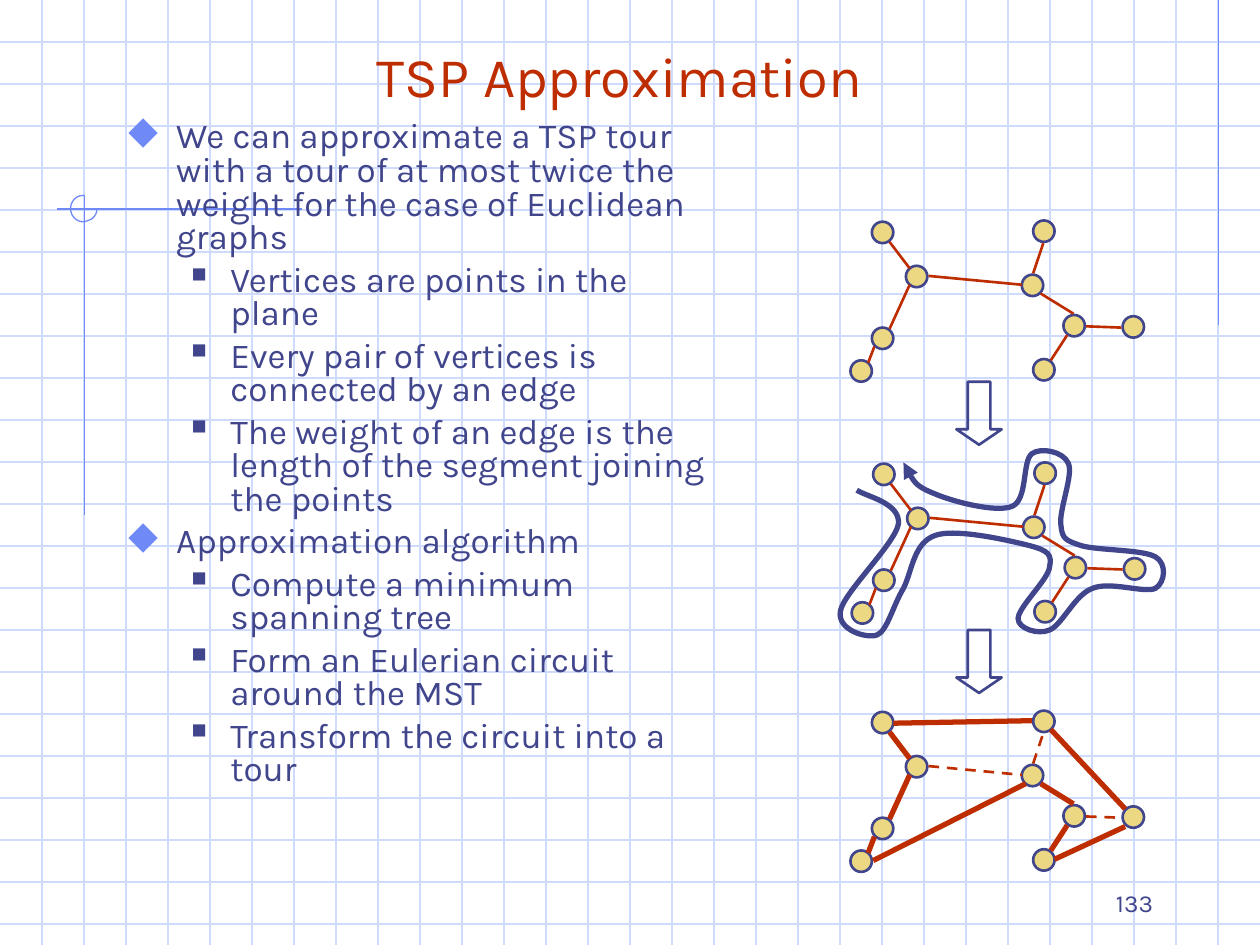
"""Build the TSP Approximation slide."""
from lxml import etree
from pptx import Presentation
from pptx.dml.color import RGBColor
from pptx.enum import dml, shapes, text
from pptx.oxml import ns
from pptx.util import Inches, Pt

FONT = "Karla"
GRID, BLUE, NAVY, RED, GOLD = "CFDBFD", "6F89F7", "40458C", "BE2D00", "ECD882"

BODY = [
    (0, "We can approximate a TSP tour with a tour of at most twice the weight "
        "for the case of Euclidean graphs"),
    (1, "Vertices are points in the plane"),
    (1, "Every pair of vertices is connected by an edge"),
    (1, "The weight of an edge is the length of the segment joining the points"),
    (0, "Approximation algorithm"),
    (1, "Compute a minimum spanning tree"),
    (1, "Form an Eulerian circuit around the MST"),
    (1, "Transform the circuit into a tour"),
]
LEVELS = [
    dict(left=0.38, hang=0.38, char="◆", color=BLUE, size=110),
    dict(left=0.81, hang=0.31, char="■", color=NAVY, size=60),
]

NODE = 0.17
NODES = [(6.92, 1.76), (7.19, 2.11), (6.92, 2.6), (6.75, 2.86), (8.11, 2.18),
         (8.2, 1.75), (8.2, 2.85), (8.44, 2.5), (8.91, 2.51)]
TREE = [(7.06, 1.92, 7.22, 2.13), (7.06, 2.61, 7.22, 2.26),
        (7.37, 2.19, 8.11, 2.26), (8.2, 2.17, 8.28, 1.93),
        (8.62, 2.59, 8.9, 2.6), (8.52, 2.49, 8.26, 2.33),
        (6.89, 2.88, 6.94, 2.75), (8.34, 2.86, 8.47, 2.66)]
SKIPPED = {2, 3, 4}
SHORTCUTS = [(6.93, 6.83, 8.14, 6.22), (8.37, 6.82, 8.93, 6.56),
             (8.93, 6.42, 8.34, 5.79), (7.09, 5.74, 8.19, 5.72)]
CIRCUIT = [
    (7.17, 3.67), (7.21, 3.77), (7.27, 3.86), (7.42, 3.92),
    (7.56, 3.98), (7.9, 4.07), (8.03, 4.02), (8.16, 3.97), (8.11, 3.66), (8.19, 3.6),
    (8.26, 3.55), (8.44, 3.58), (8.48, 3.68), (8.52, 3.77), (8.4, 4.06), (8.42, 4.17),
    (8.43, 4.28), (8.46, 4.29), (8.58, 4.33), (8.71, 4.37), (9.07, 4.36), (9.17, 4.42),
    (9.26, 4.47), (9.25, 4.62), (9.17, 4.67), (9.08, 4.71), (8.81, 4.61), (8.67, 4.67),
    (8.53, 4.72), (8.43, 4.96), (8.33, 5), (8.24, 5.04), (8.08, 4.99), (8.08, 4.91),
    (8.08, 4.82), (8.32, 4.6), (8.33, 4.5), (8.35, 4.4), (8.32, 4.37), (8.17, 4.33),
    (8.01, 4.29), (7.58, 4.19), (7.42, 4.25), (7.25, 4.31), (7.24, 4.53), (7.17, 4.67),
    (7.09, 4.8), (7.04, 5.01), (6.96, 5.04), (6.88, 5.07), (6.64, 5), (6.67, 4.85),
    (6.69, 4.71), (7.1, 4.32), (7.13, 4.16), (7.15, 3.99), (6.87, 3.94), (6.8, 3.89)]
RING = [(0.67, 1.55), (0.62, 1.55), (0.59, 1.57), (0.57, 1.61),
        (0.55, 1.65), (0.56, 1.7), (0.59, 1.73), (0.62, 1.76), (0.66, 1.77), (0.7, 1.75),
        (0.74, 1.74), (0.77, 1.7), (0.77, 1.66)]


def rgb(value):
    return RGBColor.from_string(value)


def add(parent, tag, **attrs):
    return etree.SubElement(parent, ns.qn(tag), attrs)


def outline(sp, color, width, fill=None):
    sp.shadow.inherit = False
    sp.line.color.rgb, sp.line.width = rgb(color), Pt(width)
    if fill:
        sp.fill.solid()
        sp.fill.fore_color.rgb = rgb(fill)
    else:
        sp.fill.background()


def line(s, ends, color, width=0.75, dashed=False):
    sp = s.shapes.add_connector(shapes.MSO_CONNECTOR.STRAIGHT, *map(Inches, ends))
    sp.line.color.rgb, sp.line.width = rgb(color), Pt(width)
    if dashed:
        sp.line.dash_style = dml.MSO_LINE.DASH
    add(sp._element.spPr, "a:effectLst")


def curve(s, points, color, width, arrow=False):
    pts = [(Inches(x), Inches(y)) for x, y in points]
    builder = s.shapes.build_freeform(*pts[0])
    builder.add_line_segments(pts[1:], close=False)
    sp = builder.convert_to_shape()
    outline(sp, color, width)
    steps = list(sp._element.iter(ns.qn("a:lnTo")))
    for i in range(0, len(steps), 3):
        bezier = add(steps[i].getparent(), "a:cubicBezTo")
        for step in steps[i:i + 3]:
            bezier.append(step[0])
            step.getparent().remove(step)
    if arrow:
        add(sp._element.spPr.get_or_add_ln(), "a:headEnd", type="triangle")


def graph(s, dx, dy, width=1.5, skipped=()):
    for x, y in NODES:
        sp = s.shapes.add_shape(shapes.MSO_SHAPE.OVAL, Inches(x + dx), Inches(y + dy),
                                Inches(NODE), Inches(NODE))
        outline(sp, NAVY, 1.5, GOLD)
    for i, (x1, y1, x2, y2) in enumerate(TREE):
        ends = (x1 + dx, y1 + dy, x2 + dx, y2 + dy)
        line(s, ends, RED, 1.5 if i in skipped else width, i in skipped)


def down_arrow(s, top):
    box = map(Inches, (7.52, top, 0.5, 0.36))
    sp = s.shapes.add_shape(shapes.MSO_SHAPE.RIGHT_ARROW, *box)
    sp.rotation = 90
    sp.adjustments[1] = 0.34
    outline(sp, NAVY, 1.5)


def text_box(s, box, anchor):
    tf = s.shapes.add_textbox(*map(Inches, box)).text_frame
    tf.word_wrap, tf.vertical_anchor = True, anchor
    return tf


def write(p, words, size, color, align=None):
    p.alignment = align
    r = p.add_run()
    r.text = words
    r.font.name, r.font.size, r.font.color.rgb = FONT, Pt(size), rgb(color)


def bullet(p, left, hang, char, color, size):
    pPr = p._p.get_or_add_pPr()
    pPr.set("marL", str(Inches(left)))
    pPr.set("indent", str(-Inches(hang)))
    add(add(pPr, "a:buClr"), "a:srgbClr", val=color)
    add(pPr, "a:buSzPct", val=str(size * 1000))
    add(pPr, "a:buChar", char=char)


def main():
    prs = Presentation()
    prs.slide_width, prs.slide_height = Inches(10), Inches(7.5)
    s = prs.slides.add_slide(prs.slide_layouts[6])

    for i in range(1, 23):
        line(s, (0, i / 3, 10, i / 3), GRID)
    for i in range(1, 30):
        line(s, (i / 3, 0, i / 3, 7.5), GRID)
    for ends in [(9.67, 0, 9.67, 2.58), (2.4, 1.66, 0.45, 1.66), (0.67, 1.55, 0.67, 4.09)]:
        line(s, ends, BLUE)
    curve(s, RING, BLUE, 0.75)

    tf = text_box(s, (0.67, 0.33, 8.5, 0.58), text.MSO_ANCHOR.BOTTOM)
    write(tf.paragraphs[0], "TSP Approximation", 32, RED, text.PP_ALIGN.CENTER)

    tf = text_box(s, (0.92, 0.92, 4.92, 5.67), text.MSO_ANCHOR.TOP)
    for i, (level, words) in enumerate(BODY):
        p = tf.add_paragraph() if i else tf.paragraphs[0]
        bullet(p, **LEVELS[level])
        p.level, p.line_spacing = level, 0.8
        p.space_before = Pt(5 if i else 0)
        write(p, words, 20, NAVY)

    down_arrow(s, 3.1)
    graph(s, 0, 0)
    graph(s, 0.01, 1.92)
    curve(s, CIRCUIT, NAVY, 3, arrow=True)
    down_arrow(s, 5.07)
    graph(s, 0, 3.89, 3, SKIPPED)
    for ends in SHORTCUTS:
        line(s, ends, RED, 3)

    tf = text_box(s, (7.17, 6.83, 2.08, 0.5), text.MSO_ANCHOR.BOTTOM)
    write(tf.paragraphs[0], "133", 14, NAVY, text.PP_ALIGN.RIGHT)
    prs.save("out.pptx")


if __name__ == "__main__":
    main()
